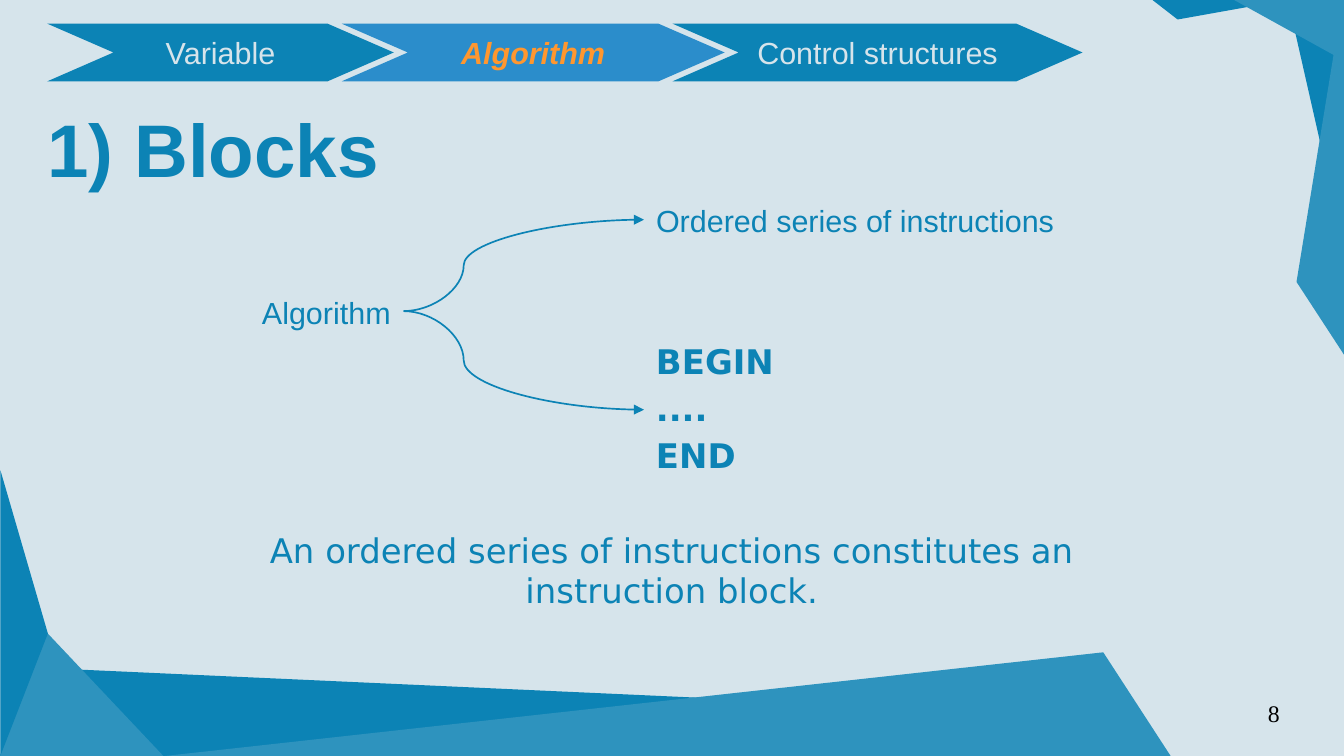
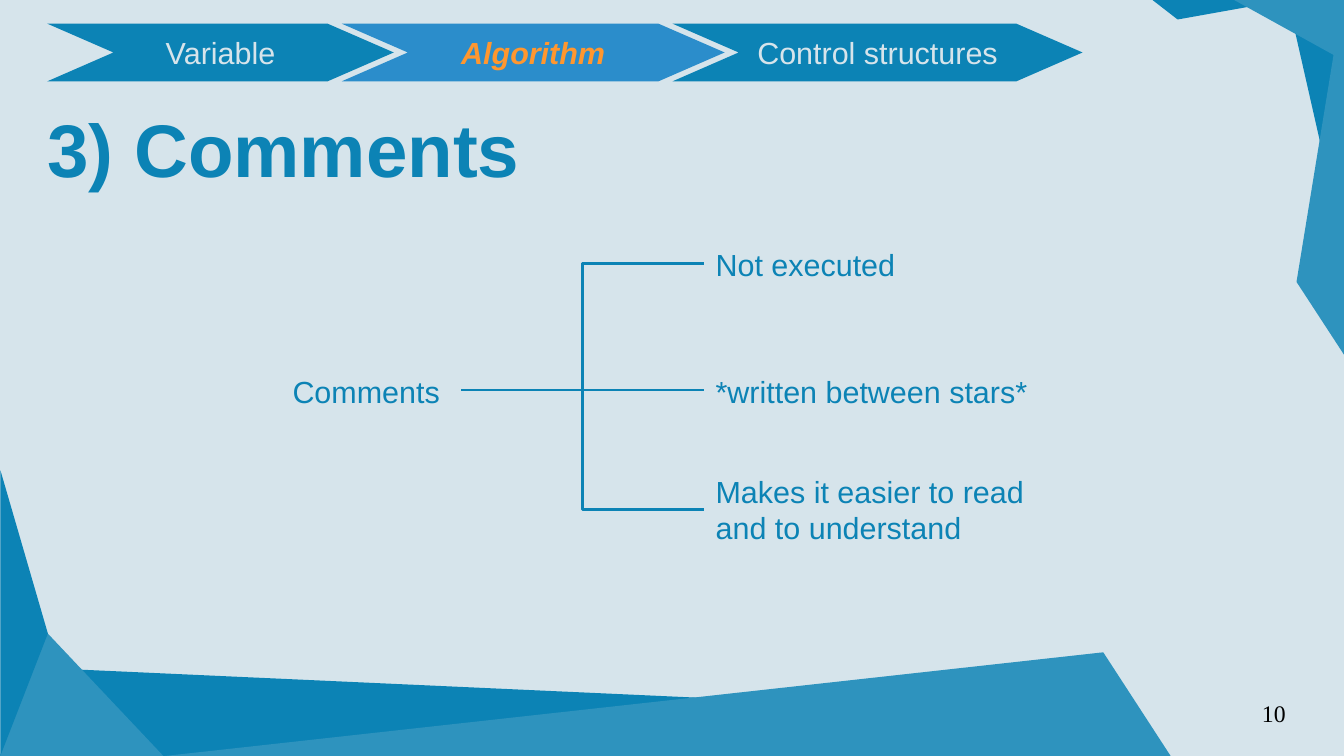
import lxml.etree
import pptx
import pptx.dml.color
import pptx.enum.shapes
import pptx.enum.text
import pptx.oxml.ns
import pptx.util

Pt = pptx.util.Pt
SHAPE = pptx.enum.shapes.MSO_SHAPE
CONNECTOR = pptx.enum.shapes.MSO_CONNECTOR
ALIGN = pptx.enum.text.PP_ALIGN
ANCHOR = pptx.enum.text.MSO_ANCHOR
AUTO_SIZE = pptx.enum.text.MSO_AUTO_SIZE

WIDTH, HEIGHT = 793.44, 446.4
PALE, BLUE, LIGHT_BLUE, ACTIVE_BLUE = "D6E4EB", "0C83B5", "2E93BE", "2B8DCB"
ORANGE, BLACK = "FF972F", "000000"

LABEL = {"name": "Arial", "size": Pt(18)}
TITLE = {"name": "Arial", "size": Pt(44), "bold": True}
CODE = {"name": "DejaVu Sans", "size": Pt(20), "bold": True}
SUMMARY = {"name": "DejaVu Sans", "size": Pt(20)}
NUMBER = {"name": "Times New Roman", "size": Pt(14)}
ACTIVE = {**LABEL, "bold": True, "italic": True}

NO_MARGINS = {"margin_left": 0, "margin_top": 0, "margin_right": 0, "margin_bottom": 0}
GROWING = {"word_wrap": True, "auto_size": AUTO_SIZE.SHAPE_TO_FIT_TEXT}

TITLE_BOX = (28, 57, 714, 49)
NUMBER_BOX = (659.5, 412.6, 185, 31)
NAVIGATION_BOX = (28, 14, 746, 34)
SECTIONS = [("Variable", 204.5), ("Algorithm", 226), ("Control structures", 242)]
CHEVRON_TIP = 39
CHEVRON_OVERLAP = 30.7

DECORATIONS = [
    (SHAPE.RECTANGLE, (46, 404, 379.5, 52.5), 2.6, None, BLUE),
    (SHAPE.ISOSCELES_TRIANGLE, (0, 368.6, 96.5, 77.8), 0, 0.239, LIGHT_BLUE),
    (SHAPE.ISOSCELES_TRIANGLE, (85, 385.2, 607, 62.6), 0, 0.933, LIGHT_BLUE),
    (SHAPE.ISOSCELES_TRIANGLE, (-70, 348, 168.5, 28), 90, 0.572, BLUE),
    (SHAPE.ISOSCELES_TRIANGLE, (680.4, 0, 79.2, 11.5), 180, 0.813, BLUE),
    (SHAPE.ISOSCELES_TRIANGLE, (738.7, 14.4, 70.6, 65.5), 210.9, 0.114, BLUE),
    (SHAPE.ISOSCELES_TRIANGLE, (728.6, 0, 65.5, 33.8), 180, 0.067, LIGHT_BLUE),
    (SHAPE.ISOSCELES_TRIANGLE, (671.8, 87.8, 215.3, 28.1), 270, 0.2, LIGHT_BLUE),
]


def set_values(target, values):
    for name, value in values.items():
        setattr(target, name, value)


def paint(color_owner, color):
    if hasattr(color_owner, "solid"):
        color_owner.solid()
        color_owner = color_owner.fore_color
    else:
        color_owner = color_owner.color
    color_owner.rgb = pptx.dml.color.RGBColor.from_string(color)


def points(box):
    return [Pt(length) for length in box]


def write_lines(frame, lines, font, color, paragraph_values=None, gap=0):
    for index, line in enumerate(lines):
        paragraph = frame.add_paragraph() if index else frame.paragraphs[0]
        set_values(paragraph, paragraph_values or {})
        if index and gap:
            paragraph.space_before = Pt(gap)
        run = paragraph.add_run()
        run.text = line
        set_values(run.font, font)
        paint(run.font, color)


def add_text(shapes, box, lines, font, color=BLUE, frame_values=GROWING, **options):
    frame = shapes.add_textbox(*points(box)).text_frame
    set_values(frame, frame_values)
    write_lines(frame, lines, font, color, **options)


def add_filled_shape(shapes, kind, box, color):
    shape = shapes.add_shape(kind, *points(box))
    shape.shadow.inherit = False
    paint(shape.fill, color)
    shape.line.fill.background()
    return shape


def add_line(shapes, kind, start, end, width, bend=None, arrow=False):
    connector = shapes.add_connector(kind, *points(start + end))
    paint(connector.line, BLUE)
    connector.line.width = Pt(width)
    properties = connector.element.spPr
    qualified = pptx.oxml.ns.qn
    if bend is not None:
        adjustments = properties.find(".//" + qualified("a:avLst"))
        lxml.etree.SubElement(
            adjustments, qualified("a:gd"), name="adj1", fmla=f"val {round(bend * 100000)}"
        )
    if arrow:
        lxml.etree.SubElement(
            properties.find(qualified("a:ln")), qualified("a:tailEnd"), type="triangle"
        )
    lxml.etree.SubElement(properties, qualified("a:effectLst"))


def build_master(presentation, layout, slide):
    master = presentation.slide_master
    paint(master.background.fill, PALE)
    first_placeholder = master.shapes[0].element
    for index, (kind, box, rotation, adjustment, color) in enumerate(DECORATIONS):
        shape = add_filled_shape(slide.shapes, kind, box, color)
        shape.rotation = rotation
        if adjustment is not None:
            shape.adjustments[0] = adjustment
        shape.element.nvSpPr.cNvPr.set("id", str(100 + index))
        first_placeholder.addprevious(shape.element)
    title = layout.placeholders[0]
    set_values(title, dict(zip(("left", "top", "width", "height"), points(TITLE_BOX))))


def add_navigation(slide, box, active):
    left, top, _, height = box
    group = slide.shapes.add_group_shape()
    for name, width in SECTIONS:
        is_active = name == active
        chevron = add_filled_shape(
            group.shapes, SHAPE.CHEVRON, (left, top, width, height),
            ACTIVE_BLUE if is_active else BLUE,
        )
        chevron.adjustments[0] = CHEVRON_TIP / height
        set_values(chevron.text_frame, {"word_wrap": False, "vertical_anchor": ANCHOR.MIDDLE})
        write_lines(
            chevron.text_frame, [name], ACTIVE if is_active else LABEL,
            ORANGE if is_active else PALE, {"alignment": ALIGN.CENTER},
        )
        left += width - CHEVRON_OVERLAP


def add_frame(slide, title, number):
    frame = slide.shapes.title.text_frame
    set_values(frame, {
        **NO_MARGINS, **GROWING, "margin_top": Pt(4), "vertical_anchor": ANCHOR.TOP,
    })
    write_lines(frame, [title], TITLE, BLUE, {"alignment": ALIGN.LEFT})
    add_navigation(slide, NAVIGATION_BOX, "Algorithm")
    add_text(
        slide.shapes, NUMBER_BOX, [number], NUMBER, BLACK,
        {**NO_MARGINS, "word_wrap": True}, paragraph_values={"alignment": ALIGN.CENTER},
    )


def add_root(shapes, box, text, offset, width):
    left, top = box[:2]
    add_text(shapes, (left, top + offset, width, 27.4), [text], LABEL)
    return left + width, top + offset + 13.7


def add_algorithm_diagram(slide, box):
    left, top, width, height = box
    shapes = slide.shapes
    branch_left = left + 232.6
    start = add_root(shapes, box, "Algorithm", 54, 90.7)
    for offset in (13.7, 125.9):
        add_line(shapes, CONNECTOR.CURVE, start, (branch_left, top + offset), 1, 0.25, True)
    branch_width = left + width - branch_left
    add_text(
        shapes, (branch_left, top, branch_width, 27.4), ["Ordered series of instructions"], LABEL
    )
    add_text(
        shapes, (branch_left, top + height - 97.2, 141.8, 97.2), ["BEGIN", "....", "END"],
        CODE, paragraph_values={"alignment": ALIGN.JUSTIFY}, gap=4,
    )


def add_comments_diagram(slide, box):
    left, top = box[:2]
    shapes = slide.shapes.add_group_shape().shapes
    branch_left = left + 249.8
    start = add_root(shapes, box, "Comments", 74.9, 106.6)
    branches = [
        ("Not executed", CONNECTOR.ELBOW, 0, 123.1, 27.4),
        ("*written between stars*", CONNECTOR.STRAIGHT, 74.9, 198.7, 27.4),
        ("Makes it easier to read and to understand", CONNECTOR.ELBOW, 133.9, 212.4, 50.4),
    ]
    for text, kind, offset, width, height in branches:
        add_line(shapes, kind, start, (branch_left, top + offset + height / 2), 1.5)
        add_text(shapes, (branch_left, top + offset, width, height), [text], LABEL)


def build_blocks_slide(slide):
    add_frame(slide, "1) Blocks", "8")
    add_algorithm_diagram(slide, (147.6, 116, 521.3, 178.5))
    add_text(
        slide.shapes, (136, 309, 521.3, 62),
        ["An ordered series of instructions constitutes an instruction block."],
        SUMMARY, paragraph_values={"alignment": ALIGN.CENTER},
    )


def build_comments_slide(slide):
    add_frame(slide, "3) Comments", "10")
    add_comments_diagram(slide, (165.6, 141.8, 462.2, 184.3))


def main():
    presentation = pptx.Presentation()
    set_values(presentation, {"slide_width": Pt(WIDTH), "slide_height": Pt(HEIGHT)})
    layout = presentation.slide_layouts.get_by_name("Title Only")
    blocks_slide = presentation.slides.add_slide(layout)
    build_master(presentation, layout, blocks_slide)
    build_blocks_slide(blocks_slide)
    build_comments_slide(presentation.slides.add_slide(layout))
    presentation.save("out.pptx")


if __name__ == "__main__":
    main()
